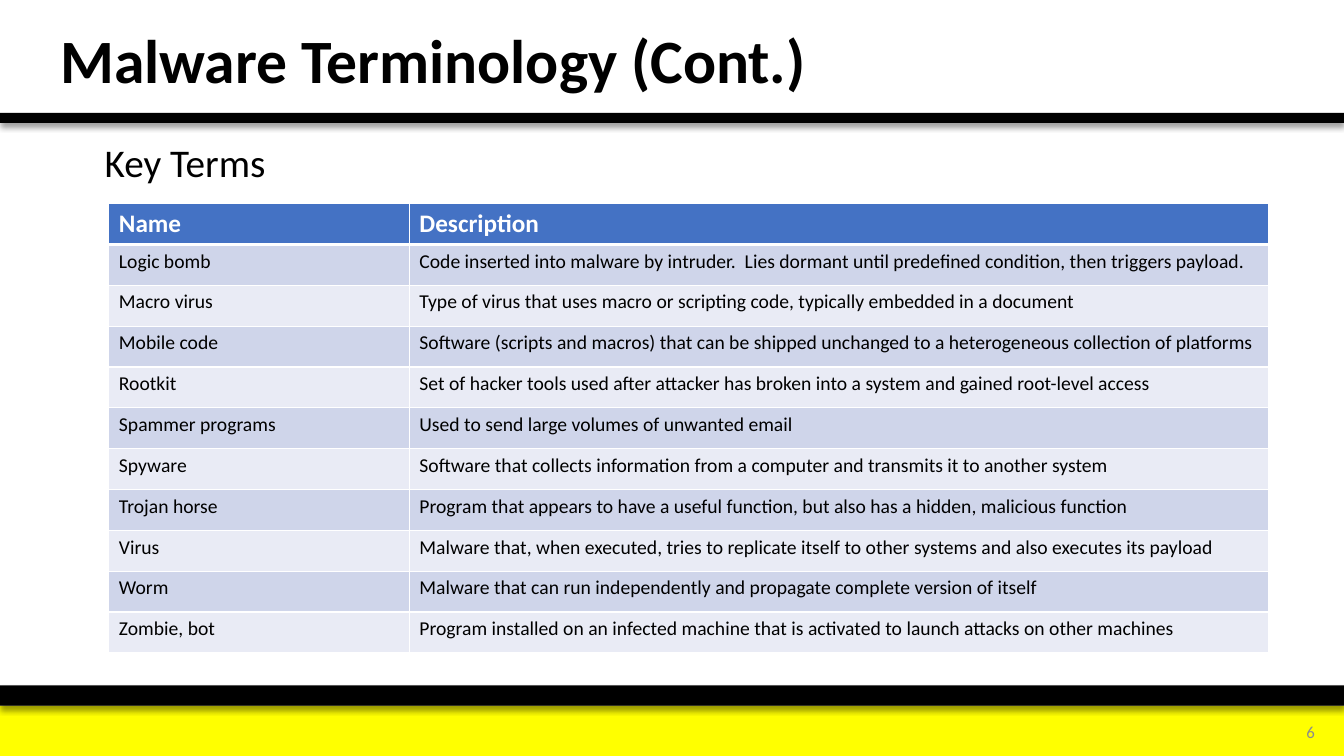
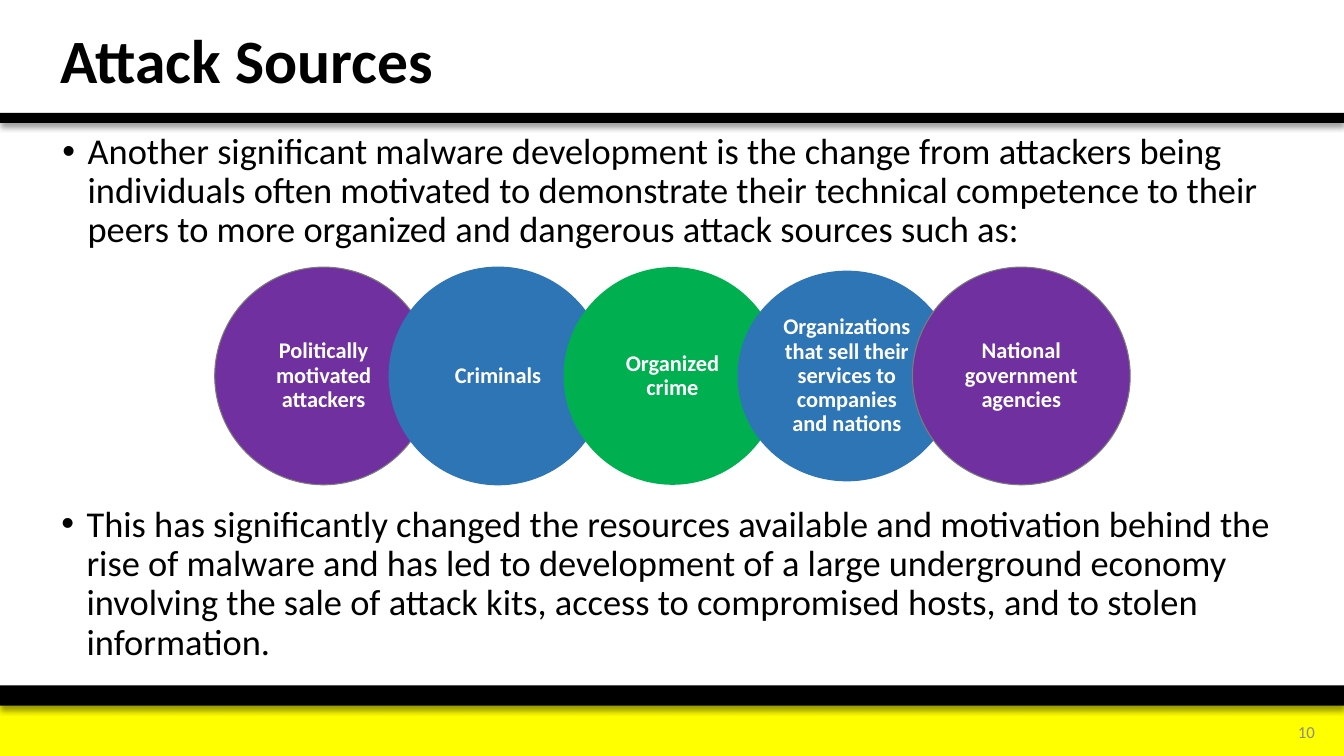
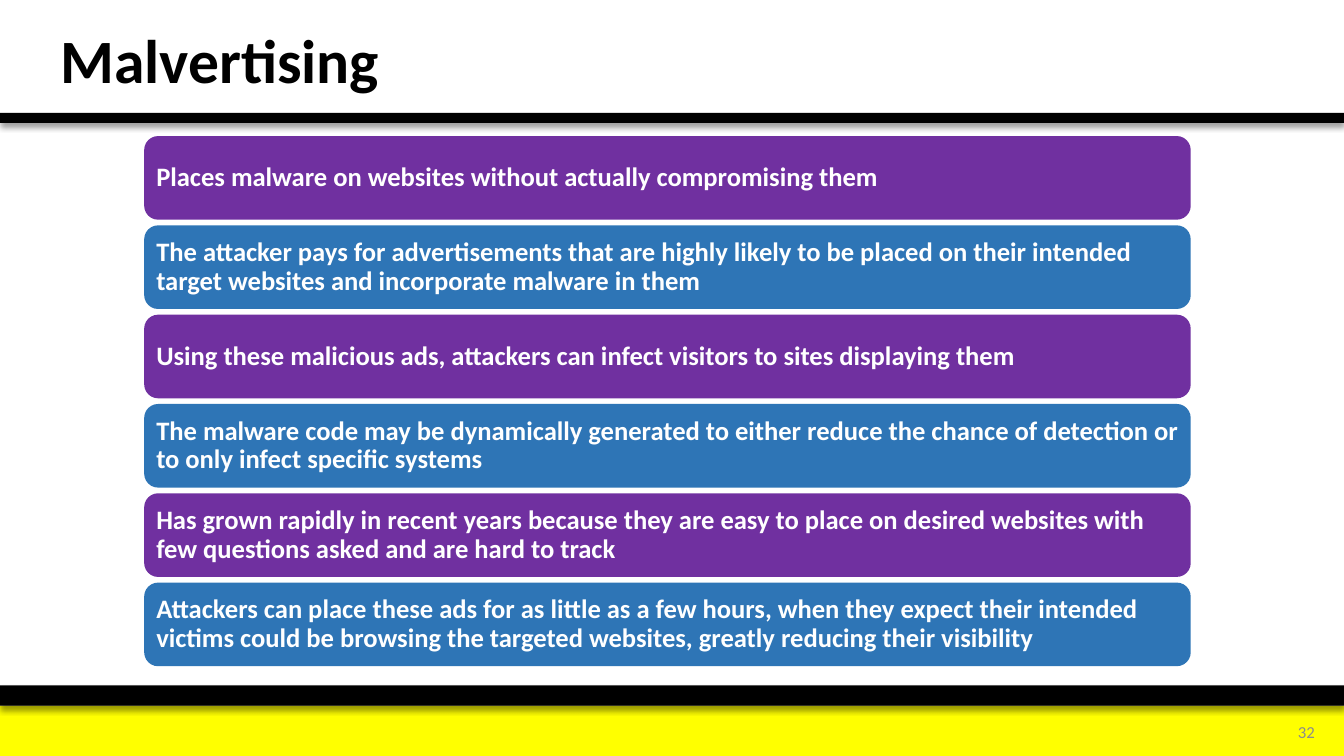
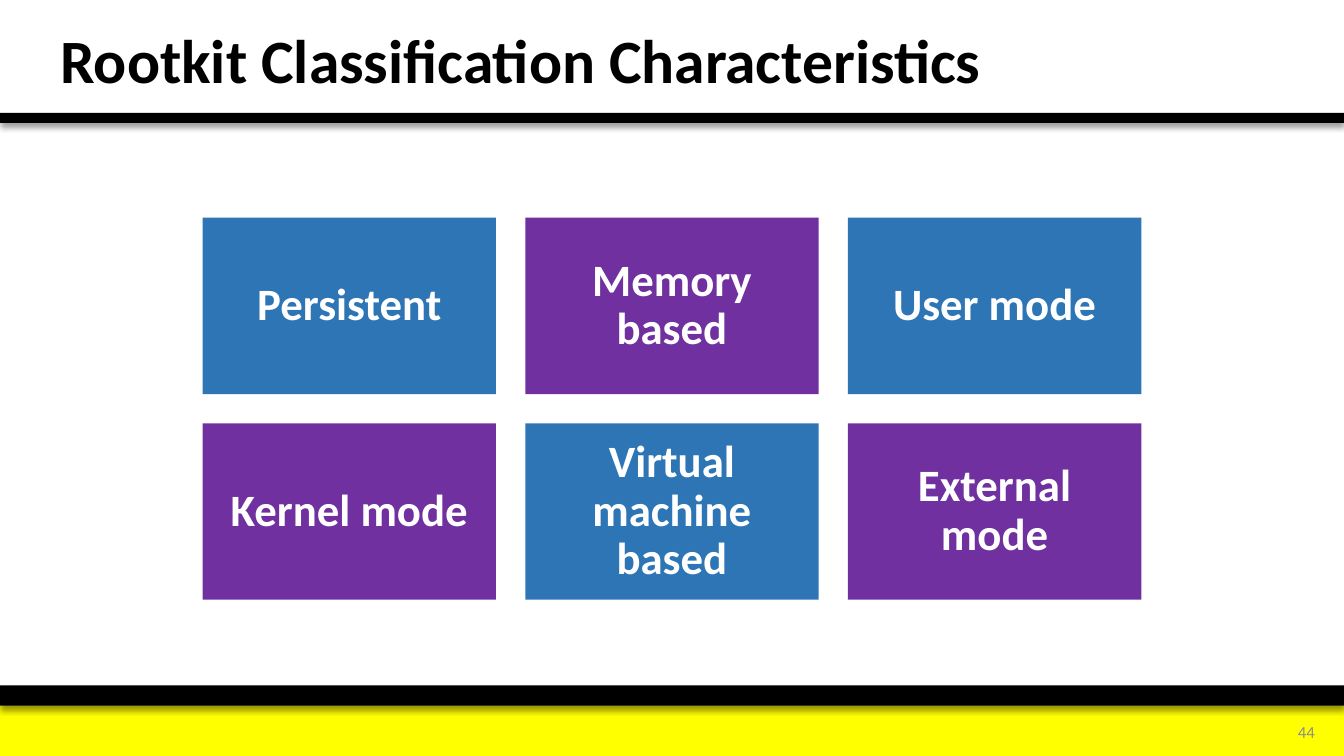
from lxml import etree
from pptx import Presentation
from pptx.dml.color import RGBColor
from pptx.enum.shapes import MSO_SHAPE
from pptx.enum.text import MSO_ANCHOR, PP_ALIGN
from pptx.oxml import parse_xml
from pptx.oxml.ns import qn
from pptx.util import Inches, Pt

RECT = MSO_SHAPE.RECTANGLE
ROUND = MSO_SHAPE.ROUNDED_RECTANGLE
OVAL = MSO_SHAPE.OVAL
TOP, MIDDLE = MSO_ANCHOR.TOP, MSO_ANCHOR.MIDDLE
LEFT, CENTER, RIGHT = PP_ALIGN.LEFT, PP_ALIGN.CENTER, PP_ALIGN.RIGHT

NS = "http://schemas.openxmlformats.org/drawingml/2006/main"
FONT = "Calibri"
WIDTH, HEIGHT = 13.33, 7.5
PADS = (0.1, 0.05)
COLORS = {
    "black": "000000",
    "white": "FFFFFF",
    "yellow": "FFFF00",
    "gray": "8C8C8C",
    "edge": "7C7C7C",
    "purple": "7030A0",
    "blue": "2E75B6",
    "green": "00B050",
    "head": "4472C4",
    "odd": "CFD5EA",
    "even": "E9EBF5",
}

TERMS = [
    ("Name", "Description"),
    ("Logic bomb", "Code inserted into malware by intruder.  Lies dormant until predefined condition, then triggers payload."),
    ("Macro virus", "Type of virus that uses macro or scripting code, typically embedded in a document"),
    ("Mobile code", "Software (scripts and macros) that can be shipped unchanged to a heterogeneous collection of platforms"),
    ("Rootkit", "Set of hacker tools used after attacker has broken into a system and gained root-level access"),
    ("Spammer programs", "Used to send large volumes of unwanted email"),
    ("Spyware", "Software that collects information from a computer and transmits it to another system"),
    ("Trojan horse", "Program that appears to have a useful function, but also has a hidden, malicious function"),
    ("Virus", "Malware that, when executed, tries to replicate itself to other systems and also executes its payload"),
    ("Worm", "Malware that can run independently and propagate complete version of itself"),
    ("Zombie, bot", "Program installed on an infected machine that is activated to launch attacks on other machines"),
]
SOURCES = [
    ("Politically motivated attackers", "purple", "edge", 2.16),
    ("Criminals", "blue", "blue", 2.16),
    ("Organized crime", "green", None, 2.16),
    ("Organizations that sell their services to companies and nations", "blue", "blue", 2.08),
    ("National government agencies", "purple", "edge", 2.16),
]
CHANGE = "Another significant malware development is the change from attackers being individuals often motivated to demonstrate their technical competence to their peers to more organized and dangerous attack sources such as:"
RESULT = "This has significantly changed the resources available and motivation behind the rise of malware and has led to development of a large underground economy involving the sale of attack kits, access to compromised hosts, and to stolen information."
ADS = [
    "Places malware on websites without actually compromising them",
    "The attacker pays for advertisements that are highly likely to be placed on their intended target websites and incorporate malware in them",
    "Using these malicious ads, attackers can infect visitors to sites displaying them",
    "The malware code may be dynamically generated to either reduce the chance of detection or to only infect specific systems",
    "Has grown rapidly in recent years because they are easy to place on desired websites with few questions asked and are hard to track",
    "Attackers can place these ads for as little as a few hours, when they expect their intended victims could be browsing the targeted websites, greatly reducing their visibility",
]
TRAITS = ["Persistent", "Memory based", "User mode", "Kernel mode", "Virtual machine based", "External mode"]


class Deck:
    """Holds the shared style and the slide being built."""

    def __init__(self):
        self.prs = Presentation()
        self.prs.slide_width = Inches(WIDTH)
        self.prs.slide_height = Inches(HEIGHT)
        self.slide = None

    def color(self, name):
        return RGBColor.from_string(COLORS[name])

    def page(self, title, number, wide=9):
        self.slide = self.prs.slides.add_slide(self.prs.slide_layouts[6])
        self.shape(RECT, (0, 7, WIDTH, 0.5), "yellow")
        for top, high in ((6.8, 0.2), (1.12, 0.1)):
            self.shadow(self.shape(RECT, (0, top, WIDTH, high), "black"))
        self.text((12.38, 7.06, 0.76, 0.4), number, 12, "gray", align=RIGHT, anchor=MIDDLE, line=1)
        self.text((0.5, 0.07, wide, 1.12), title, 44, bold=True, anchor=MIDDLE)

    def shape(self, kind, box, fill, edge=None):
        item = self.slide.shapes.add_shape(kind, *map(Inches, box))
        item.shadow.inherit = False
        item.fill.solid()
        item.fill.fore_color.rgb = self.color(fill)
        if edge:
            item.line.color.rgb = self.color(edge)
            item.line.width = Pt(0.75)
        else:
            item.line.fill.background()
        return item

    def shadow(self, item):
        effects = item._element.spPr.find(qn("a:effectLst"))
        effects.append(parse_xml(
            f'<a:outerShdw xmlns:a="{NS}" blurRad="{Pt(4)}" dist="{Pt(3)}" dir="5400000" rotWithShape="0">'
            f'<a:srgbClr val="{COLORS["black"]}"><a:alpha val="40000"/></a:srgbClr></a:outerShdw>'))

    def span(self, para, words, size, color, bold):
        run = para.add_run()
        run.text = words
        run.font.name = FONT
        run.font.size = Pt(size)
        run.font.bold = bold
        run.font.color.rgb = self.color(color)

    def label(self, frame, words, size, color, bold, align, anchor, pads, line=0.9):
        frame.word_wrap = True
        frame.vertical_anchor = anchor
        frame.margin_left = frame.margin_right = Inches(pads[0])
        frame.margin_top = frame.margin_bottom = Inches(pads[1])
        para = frame.paragraphs[0]
        para.alignment = align
        para.line_spacing = line
        self.span(para, words, size, color, bold)
        return para

    def text(self, box, words, size, color="black", bold=False, align=LEFT, anchor=TOP, line=0.9):
        frame = self.slide.shapes.add_textbox(*map(Inches, box)).text_frame
        return self.label(frame, words, size, color, bold, align, anchor, PADS, line)

    def body(self, box, words, size, bullet=False):
        para = self.text(box, words, size)
        para.space_before = Pt(10)
        if bullet:
            props = para._p.get_or_add_pPr()
            props.set("marL", str(Inches(0.25)))
            props.set("indent", str(Inches(-0.25)))
            etree.SubElement(props, qn("a:buFont"), typeface="Arial")
            etree.SubElement(props, qn("a:buChar"), char="•")

    def card(self, kind, box, words, size, fill, pads, align=CENTER, edge=None):
        item = self.shape(kind, box, fill, edge)
        self.label(item.text_frame, words, size, "white", True, align, MIDDLE, pads)

    def border(self, cell, row):
        props = cell._tc.get_or_add_tcPr()
        for side in "LRTB":
            thick = (row, side) in ((0, "B"), (1, "T"))
            props.append(parse_xml(
                f'<a:ln{side} xmlns:a="{NS}" w="{Pt(3 if thick else 1)}"><a:solidFill>'
                f'<a:srgbClr val="{COLORS["white"]}"/></a:solidFill></a:ln{side}>'))

    def table(self, box, widths, rows):
        grid = self.slide.shapes.add_table(len(rows), len(widths), *map(Inches, box)).table
        for col, width in zip(grid.columns, widths):
            col.width = Inches(width)
        for r, row in enumerate(rows):
            grid.rows[r].height = Inches(box[3] / len(rows))
            fill = "head" if r == 0 else ("even", "odd")[r % 2]
            size, color = (14, "black") if r else (18, "white")
            for c, words in enumerate(row):
                cell = grid.cell(r, c)
                self.border(cell, r)
                cell.fill.solid()
                cell.fill.fore_color.rgb = self.color(fill)
                self.span(cell.text_frame.paragraphs[0], words, size, color, r == 0)


def main():
    deck = Deck()

    deck.page("Malware Terminology (Cont.)", "6")
    deck.body((0.94, 1.38, 11.5, 0.66), "Key Terms", 28)
    deck.table((1.08, 2.02, 11.5, 4.46), (2.98, 8.52), TERMS)

    deck.page("Attack Sources", "10")
    deck.body((0.52, 1.27, 12.29, 1.82), CHANGE, 26, True)
    deck.body((0.51, 4.97, 12.29, 1.82), RESULT, 26, True)
    for i, (words, fill, edge, high) in enumerate(SOURCES):
        box = (2.13 + 1.73 * i, 3.73 - high / 2, 2.16, high)
        deck.card(OVAL, box, words, 16, fill, (0.12, 0.02), edge=edge)

    deck.page("Malvertising", "32")
    step = (5.78 - 1.35) / (len(ADS) - 1)
    for i, words in enumerate(ADS):
        box = (1.43, 1.35 + step * i, 10.38, 0.83)
        deck.card(ROUND, box, words, 19, ("purple", "blue")[i % 2], (0.08, 0.08), LEFT)

    deck.page("Rootkit Classification Characteristics", "44", 9.53)
    for i, words in enumerate(TRAITS):
        row, col = divmod(i, 3)
        box = (2.01 + 3.2 * col, 2.16 + 2.04 * row, 2.91, 1.75)
        deck.card(RECT, box, words, 32, ("blue", "purple")[i % 2], (0.13, 0.13))

    deck.prs.save("out.pptx")


if __name__ == "__main__":
    main()
